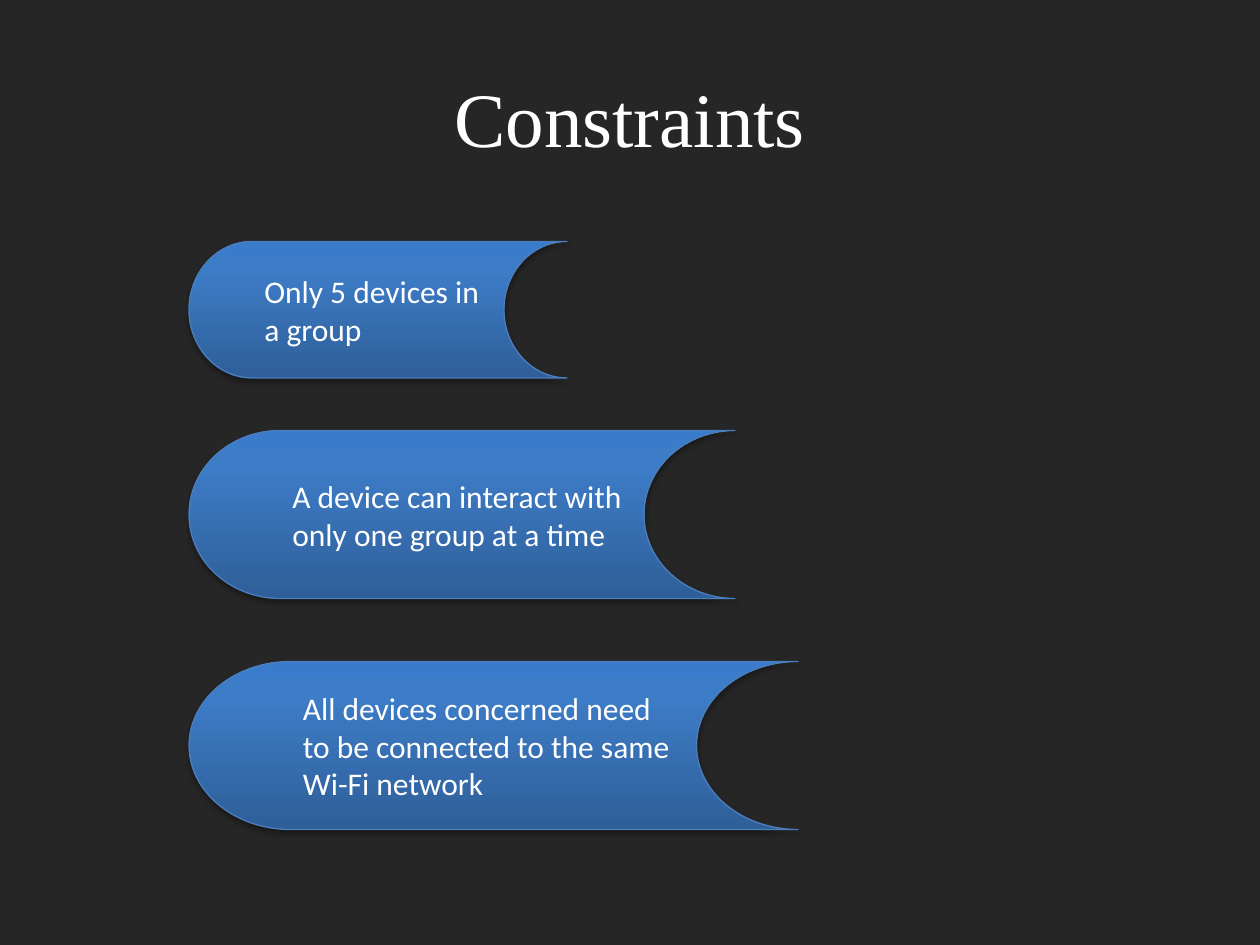
import copy
import dataclasses

import lxml.etree
import pptx
import pptx.dml.color
import pptx.enum.shapes
import pptx.enum.text
import pptx.oxml.ns
import pptx.util


@dataclasses.dataclass(frozen=True)
class Theme:
    """Colours, fonts and sizes of the slide."""
    back: str = "262626"
    text: str = "FFFFFF"
    edge: str = "4B7EBC"
    shade: str = "000000"
    stops: tuple = ((0, "2F5F99"), (0.8, "3D7CC7"), (1, "3A7CCB"))
    head_font: str = "Times New Roman"
    body_font: str = "Calibri"
    head_size: int = 44
    body_size: int = 18


THEME = Theme()
COLS, ROWS = 120, 90
WIDTH, HEIGHT = pptx.util.Inches(10), pptx.util.Inches(7.5)
LIMITS = (
    ((18, 23, 36, 13), "Only 5 devices in a group"),
    ((18, 41, 52, 16), "A device can interact with only one group at a time"),
    ((18, 63, 58, 16), "All devices concerned need to be connected to the same Wi-Fi network"),
)


def place(box):
    """Turn a box in columns and rows into slide lengths."""
    left, top, wide, high = box
    return (round(left * WIDTH / COLS), round(top * HEIGHT / ROWS),
            round(wide * WIDTH / COLS), round(high * HEIGHT / ROWS))


def tint(code):
    """Make a colour from its hex code."""
    return pptx.dml.color.RGBColor.from_string(code)


def write(frame, words, font, size, align):
    """Add one run of text, centred in height."""
    frame.word_wrap = True
    frame.vertical_anchor = pptx.enum.text.MSO_ANCHOR.MIDDLE
    line = frame.paragraphs[0]
    line.alignment = align
    run = line.add_run()
    run.text = words
    run.font.name = font
    run.font.size = pptx.util.Pt(size)
    run.font.color.rgb = tint(THEME.text)


def blend(fill):
    """Fill from dark at the foot to light at the top."""
    fill.gradient()
    fill.gradient_angle = 90
    last = fill.gradient_stops[1]._gs
    last.addprevious(copy.deepcopy(last))
    for stop, (share, code) in zip(fill.gradient_stops, THEME.stops):
        stop.position = share
        stop.color.rgb = tint(code)


def drop(shape):
    """Cast a soft shadow below the shape."""
    shape.shadow.inherit = False
    name = pptx.oxml.ns.qn
    glow = shape._element.spPr.find(name("a:effectLst"))
    cast = lxml.etree.SubElement(
        glow, name("a:outerShdw"), blurRad=str(pptx.util.Pt(3.1)),
        dist=str(pptx.util.Pt(1.8)), dir="5400000", rotWithShape="0")
    hue = lxml.etree.SubElement(cast, name("a:srgbClr"), val=THEME.shade)
    lxml.etree.SubElement(hue, name("a:alpha"), val="35000")


def add_title(slide, box, words):
    """Move and fill the title."""
    title = slide.shapes.title
    title.left, title.top, title.width, title.height = place(box)
    write(title.text_frame, words, THEME.head_font, THEME.head_size,
          pptx.enum.text.PP_ALIGN.CENTER)


def add_limit(slide, box, words):
    """Draw one limit as a curved band with text."""
    kind = pptx.enum.shapes.MSO_SHAPE.FLOWCHART_STORED_DATA
    band = slide.shapes.add_shape(kind, *place(box))
    blend(band.fill)
    band.line.color.rgb = tint(THEME.edge)
    band.line.width = pptx.util.Pt(0.75)
    drop(band)
    write(band.text_frame, words, THEME.body_font, THEME.body_size,
          pptx.enum.text.PP_ALIGN.LEFT)


def main():
    """Build and save the slide."""
    deck = pptx.Presentation()
    deck.slide_width, deck.slide_height = WIDTH, HEIGHT
    slide = deck.slides.add_slide(deck.slide_layouts[5])
    back = slide.background.fill
    back.solid()
    back.fore_color.rgb = tint(THEME.back)
    add_title(slide, (6, 3.6, 108, 15), "Constraints")
    for box, words in LIMITS:
        add_limit(slide, box, words)
    deck.save("out.pptx")


if __name__ == "__main__":
    main()
